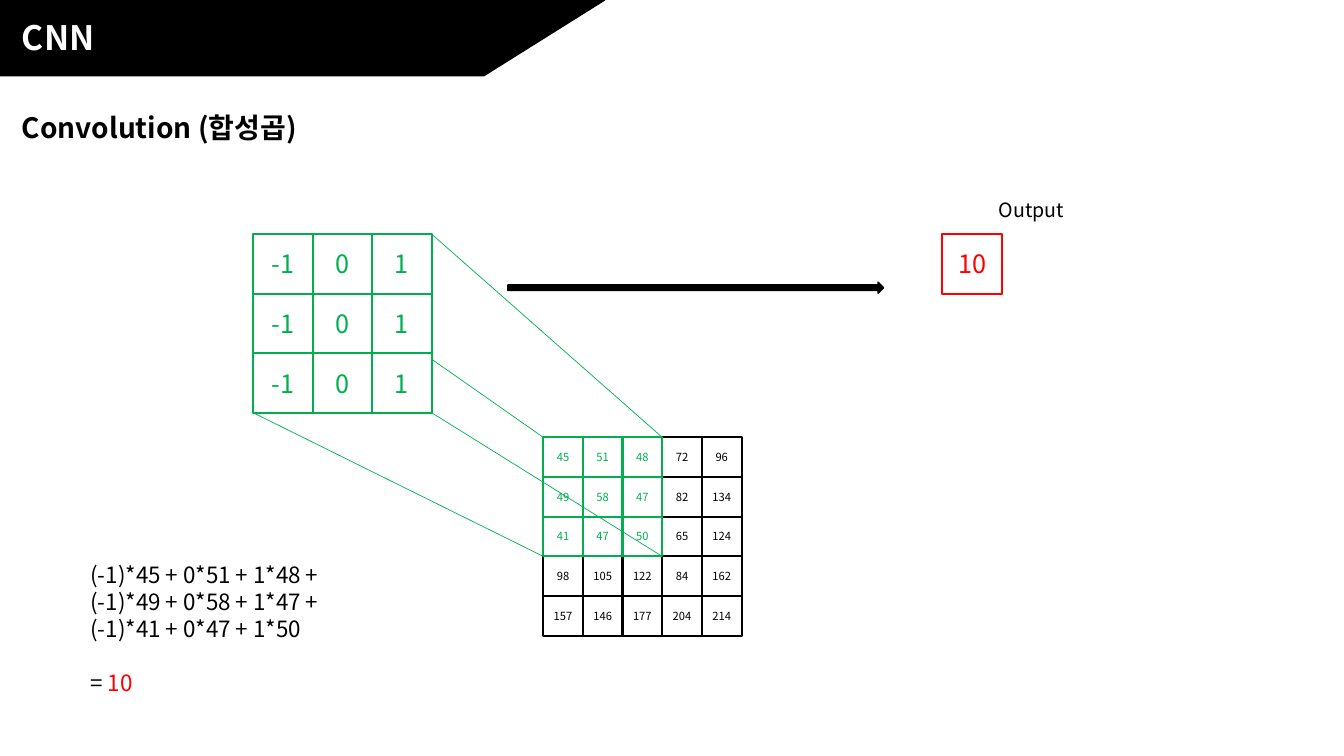
from dataclasses import dataclass
from itertools import product

from lxml.etree import SubElement
from pptx import Presentation
from pptx.dml.color import RGBColor
from pptx.enum.shapes import MSO_CONNECTOR, MSO_SHAPE
from pptx.enum.text import MSO_ANCHOR as Anchor, MSO_AUTO_SIZE as AutoSize, PP_ALIGN as Align
from pptx.oxml.ns import qn
from pptx.util import Cm, Pt


@dataclass(frozen=True)
class Theme:
    font = "Noto Sans CJK KR"
    black = RGBColor(0x00, 0x00, 0x00)
    white = RGBColor(0xFF, 0xFF, 0xFF)
    green = RGBColor(0x00, 0xB0, 0x50)
    red = RGBColor(0xFF, 0x00, 0x00)
    title = Pt(24)
    heading = Pt(20)
    kernel = Pt(18)
    equation = Pt(16)
    label = Pt(14)
    pixel = Pt(8)
    cell_line = Pt(1.5)
    thin_line = Pt(0.5)


@dataclass(frozen=True)
class Box:
    """A rectangle in centimetres."""
    left: float
    top: float
    width: float
    height: float

    def lengths(self):
        return [Cm(value) for value in (self.left, self.top, self.width, self.height)]

    def corners(self):
        return list(product((self.left, self.left + self.width),
                            (self.top, self.top + self.height)))


THEME = Theme()
KERNEL = [[-1, 0, 1]] * 3
PIXELS = [
    [45, 51, 48, 72, 96],
    [49, 58, 47, 82, 134],
    [41, 47, 50, 65, 124],
    [98, 105, 122, 84, 162],
    [157, 146, 177, 204, 214],
]
KERNEL_CELL, PIXEL_CELL = 1.5, 1.0


def style_paragraph(paragraph, size, color, bold=False, align=Align.LEFT):
    paragraph.alignment = align
    font = paragraph.font
    font.size, font.bold, font.name = size, bold, THEME.font
    font.color.rgb = color
    defaults = paragraph._p.find(".//" + qn("a:defRPr"))
    SubElement(defaults, qn("a:ea")).set("typeface", THEME.font)


def add_text(slide, box, lines, size, color=THEME.black, **style):
    frame = slide.shapes.add_textbox(*box.lengths()).text_frame
    frame.word_wrap = True
    frame.text = "\n".join(lines)
    for paragraph in frame.paragraphs:
        style_paragraph(paragraph, size, color, **style)
    return frame


def add_solid(slide, preset, box):
    shape = slide.shapes.add_shape(preset, *box.lengths())
    shape.shadow.inherit = False
    shape.fill.solid()
    shape.fill.fore_color.rgb = THEME.black
    shape.line.color.rgb = THEME.black
    shape.line.width = Pt(1)


def add_cell(shapes, box, value, size, color, filled=True):
    cell = shapes.add_shape(MSO_SHAPE.RECTANGLE, *box.lengths())
    cell.shadow.inherit = False
    if filled:
        cell.fill.solid()
        cell.fill.fore_color.rgb = THEME.white
    else:
        cell.fill.background()
    cell.line.color.rgb = color
    cell.line.width = THEME.cell_line
    frame = cell.text_frame
    frame.margin_left = frame.margin_right = 0
    frame.vertical_anchor = Anchor.MIDDLE
    frame.text = str(value)
    style_paragraph(frame.paragraphs[0], size, color, align=Align.CENTER)


def add_header(slide, box):
    add_solid(slide, MSO_SHAPE.RECTANGLE, Box(box.left, box.top, 5.03, box.height))
    add_solid(slide, MSO_SHAPE.FLOWCHART_DATA, box)
    title = slide.shapes.title
    title.element.getparent().append(title.element)  # bring in front of the banner
    title.left, title.top, title.width, title.height = Box(
        box.left + 0.3, box.top + 0.3, 9.42, 1.28).lengths()
    frame = title.text_frame
    frame.text = "CNN"
    frame.auto_size = AutoSize.NONE
    frame.vertical_anchor = Anchor.TOP
    style_paragraph(frame.paragraphs[0], THEME.title, THEME.white, bold=True)


def add_projection(slide, kernel_box, patch_box):
    """Join each corner of the kernel to the same corner of the covered patch."""
    for start, end in zip(kernel_box.corners(), patch_box.corners()):
        line = slide.shapes.add_connector(
            MSO_CONNECTOR.STRAIGHT, *[Cm(value) for value in start + end])
        line.line.color.rgb = THEME.green
        line.line.width = THEME.thin_line
        SubElement(line.element.spPr, qn("a:effectLst"))


def add_kernel(slide, box):
    shapes = slide.shapes.add_group_shape().shapes
    side = box.width / len(KERNEL)
    for row, values in enumerate(KERNEL):
        for column, value in enumerate(values):
            cell_box = Box(box.left + column * side, box.top + row * side, side, side)
            add_cell(shapes, cell_box, value, THEME.kernel, THEME.green)


def add_pixels(slide, box):
    """Draw the input grid, with the patch under the kernel in front."""
    shapes = slide.shapes.add_group_shape().shapes
    count, covered = len(PIXELS), len(KERNEL)
    side = box.width / count
    cells = sorted(product(range(count), repeat=2), key=lambda cell: max(cell) < covered)
    for row, column in cells:
        color = THEME.green if max(row, column) < covered else THEME.black
        cell_box = Box(box.left + column * side, box.top + row * side, side, side)
        add_cell(shapes, cell_box, PIXELS[row][column], THEME.pixel, color, filled=False)


def add_output(slide, box):
    label_box = Box(box.left, box.top - 1.04, 4.5, 0.86)
    add_text(slide, label_box, ["Output"], THEME.label, align=Align.CENTER)
    add_cell(slide.shapes, box, 10, THEME.kernel, THEME.red)


def add_equation(slide, box):
    lines = ["(-1)*45 + 0*51 + 1*48 +", "(-1)*49 + 0*58 + 1*47 +",
             "(-1)*41 + 0*47 + 1*50", "= "]
    result = add_text(slide, box, lines, THEME.equation).paragraphs[-1]
    result.space_before = Pt(19.3)
    answer = result.add_run()
    answer.text = "10"
    answer.font.color.rgb = THEME.red


def build_convolution_slide(presentation):
    slide = presentation.slides.add_slide(presentation.slide_layouts[5])
    kernel_side = KERNEL_CELL * len(KERNEL)
    patch_side = PIXEL_CELL * len(KERNEL)
    pixel_side = PIXEL_CELL * len(PIXELS)
    kernel_box = Box(6.38, 5.9, kernel_side, kernel_side)
    pixel_box = Box(13.69, 11.02, pixel_side, pixel_side)
    patch_box = Box(pixel_box.left, pixel_box.top, patch_side, patch_side)

    add_header(slide, Box(0, 0, 15.24, 1.91))
    add_text(slide, Box(0.3, 2.67, 21.44, 1.11), ["Convolution (합성곱)"],
             THEME.heading, bold=True)
    add_projection(slide, kernel_box, patch_box)
    add_kernel(slide, kernel_box)
    add_solid(slide, MSO_SHAPE.RIGHT_ARROW, Box(12.8, 7.11, 9.47, 0.28))
    add_output(slide, Box(23.75, kernel_box.top, KERNEL_CELL, KERNEL_CELL))
    add_equation(slide, Box(2.03, 14.02, 8, 3.68))
    add_pixels(slide, pixel_box)


def main():
    presentation = Presentation()
    presentation.slide_width, presentation.slide_height = Cm(33.87), Cm(19.05)
    build_convolution_slide(presentation)
    presentation.save("out.pptx")


if __name__ == "__main__":
    main()
